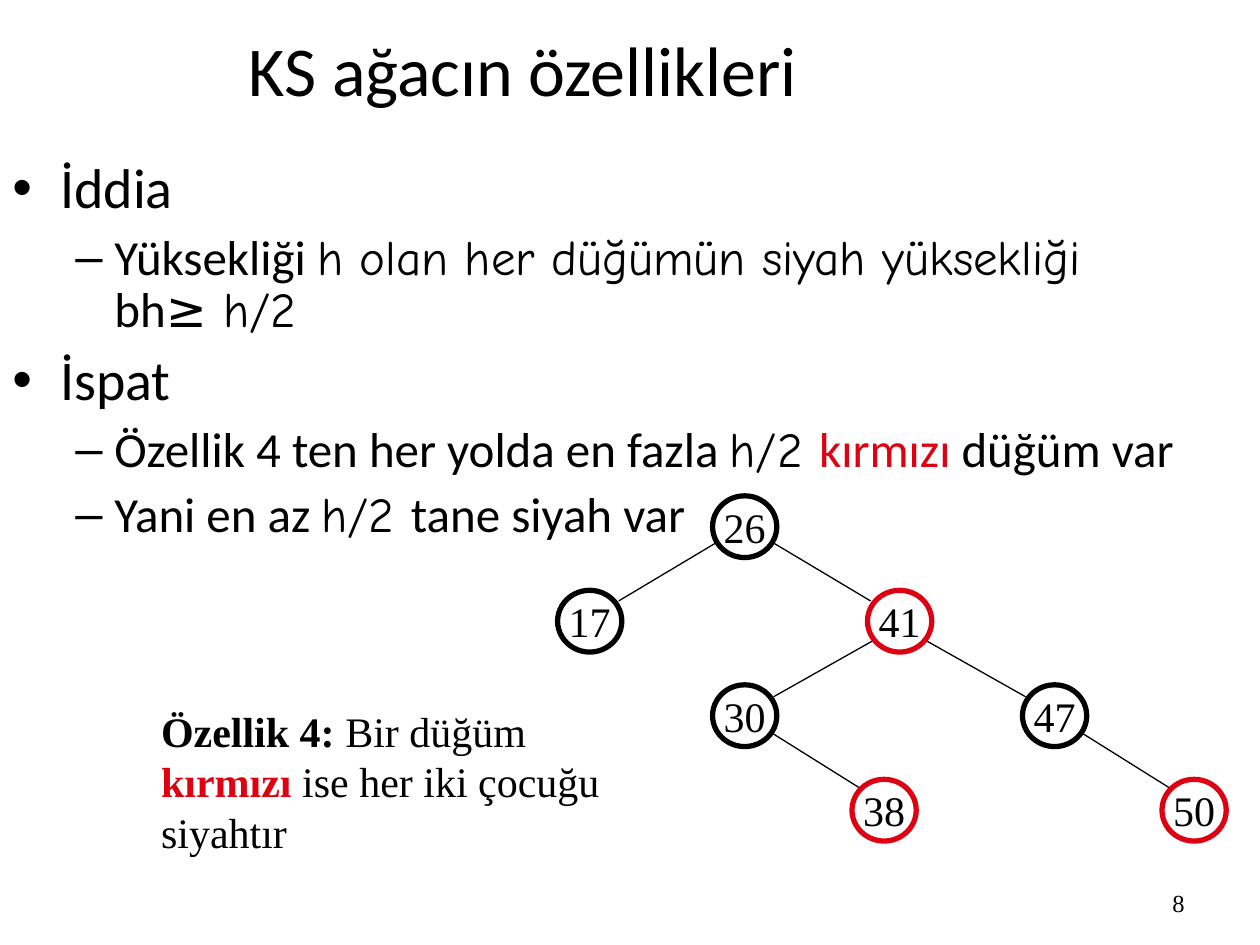
from dataclasses import dataclass

from lxml import etree
from pptx import Presentation
from pptx.dml.color import RGBColor
from pptx.enum.shapes import MSO_CONNECTOR, MSO_SHAPE
from pptx.enum.text import MSO_ANCHOR, PP_ALIGN
from pptx.oxml.ns import qn
from pptx.util import Inches, Pt

LINE = MSO_CONNECTOR.STRAIGHT
OVAL = MSO_SHAPE.OVAL
MIDDLE, TOP = MSO_ANCHOR.MIDDLE, MSO_ANCHOR.TOP
LEFT, CENTER, RIGHT = PP_ALIGN.LEFT, PP_ALIGN.CENTER, PP_ALIGN.RIGHT

SLIDE_W, SLIDE_H = 10, 7.5


@dataclass(frozen=True)
class Theme:
    black: str = "000000"
    red: str = "DD0111"
    sans: str = "Calibri"
    hand: str = "Comic Neue"
    serif: str = "Times New Roman"
    title: int = 40
    claim: int = 32
    detail: int = 28
    label: int = 24
    number: int = 14


T = Theme()

# Tree grid: column pitch, row pitch, centre of the root and node size, in inches
COL, ROW = 1.23, 0.75
ROOT_X, ROOT_Y = 5.91, 4.18
NODE_W, NODE_H = 0.51, 0.49

# Key: (column, row, colour), counted from the root
NODES = {
    "26": (0, 0, T.black),
    "17": (-1, 1, T.black),
    "41": (1, 1, T.red),
    "30": (0, 2, T.black),
    "47": (2, 2, T.black),
    "38": (0.9, 3, T.red),
    "50": (2.9, 3, T.red),
}
EDGES = [("26", "17"), ("26", "41"), ("41", "30"),
         ("41", "47"), ("30", "38"), ("47", "50")]
# Per parent row: offsets of the edge's ends from the centres of parent and child
EDGE_ENDS = [(0.23, 0.13, 0.23, 0.16), (0.22, 0.16, 0.23, 0.15),
             (0.22, 0.14, 0.2, 0.18)]

# Paragraphs of the body: (level, runs)
CLAIMS = [
    (0, [("İddia", {})]),
    (1, [("Yüksekliği ", {}),
         ("h olan her düğümün siyah yüksekliği ", {"font": T.hand}),
         (" bh", {}),
         ("≥ h/2", {"font": T.hand})]),
    (0, [("İspat", {})]),
    (1, [("Özellik 4 ten her yolda en fazla ", {}),
         ("h/2 ", {"font": T.hand}),
         ("kırmızı ", {"color": T.red}),
         ("düğüm var", {})]),
    (1, [("Yani en az ", {}),
         ("h/2 ", {"font": T.hand}),
         ("tane siyah var", {})]),
]
# Per level: bullet, text indent, hanging indent, size, space before
LEVELS = [("•", 0.38, -0.38, T.claim, 8), ("–", 0.81, -0.31, T.detail, 7)]

NOTE = [
    ("Özellik 4: ", {"bold": True}),
    ("Bir düğüm ", {}),
    ("kırmızı ", {"bold": True, "color": T.red}),
    ("ise her iki çocuğu siyahtır", {}),
]


def add_text(p, text, *, size, font=T.sans, color=T.black, bold=False):
    r = p.add_run()
    r.text = text
    r.font.size = Pt(size)
    r.font.name = font
    r.font.bold = bold
    r.font.color.rgb = RGBColor.from_string(color)


def add_box(s, left, top, width, height, *, anchor=TOP, align=LEFT):
    """Add a wrapping text box, placed in percent of the slide's size."""
    sp = s.shapes.add_textbox(
        Inches(left * SLIDE_W / 100), Inches(top * SLIDE_H / 100),
        Inches(width * SLIDE_W / 100), Inches(height * SLIDE_H / 100))
    tf = sp.text_frame
    tf.word_wrap = True
    tf.vertical_anchor = anchor
    tf.paragraphs[0].alignment = align
    return tf


def set_indent(p, left, hanging=0, bullet=None):
    pPr = p._p.get_or_add_pPr()
    pPr.set("marL", str(Inches(left)))
    pPr.set("indent", str(Inches(hanging)))
    if bullet:
        etree.SubElement(pPr, qn("a:buFont"), typeface="Arial")
        etree.SubElement(pPr, qn("a:buChar"), char=bullet)


def add_claims(s):
    tf = add_box(s, 0, 16.27, 95.1, 44.13)
    for i, (level, runs) in enumerate(CLAIMS):
        p = tf.add_paragraph() if i else tf.paragraphs[0]
        bullet, left, hanging, size, before = LEVELS[level]
        p.level = level
        p.line_spacing = 0.9
        p.space_before = Pt(before)
        set_indent(p, left, hanging, bullet)
        for text, style in runs:
            add_text(p, text, size=size, **style)


def add_note(s):
    p = add_box(s, 6.8, 74, 42.4, 17.33).paragraphs[0]
    p.level = 1
    p.space_before = Pt(6)
    set_indent(p, 0.5)
    for text, style in NOTE:
        add_text(p, text, size=T.label, font=T.serif, **style)


def node_center(key):
    col, row, _ = NODES[key]
    return ROOT_X + col * COL, ROOT_Y + row * ROW


def add_node(group, key):
    x, y = node_center(key)
    sp = group.shapes.add_shape(
        OVAL, Inches(x - NODE_W / 2), Inches(y - NODE_H / 2),
        Inches(NODE_W), Inches(NODE_H))
    sp.shadow.inherit = False
    sp.fill.background()
    sp.line.color.rgb = RGBColor.from_string(NODES[key][2])
    sp.line.width = Pt(3)
    tf = sp.text_frame
    tf.word_wrap = False
    tf.vertical_anchor = MIDDLE
    p = tf.paragraphs[0]
    p.alignment = CENTER
    add_text(p, key, size=T.label, font=T.serif)


def add_edge(group, parent, child):
    (x1, y1), (x2, y2) = node_center(parent), node_center(child)
    side = 1 if x2 > x1 else -1
    dx1, dy1, dx2, dy2 = EDGE_ENDS[NODES[parent][1]]
    line = group.shapes.add_connector(
        LINE, Inches(x1 + side * dx1), Inches(y1 + dy1),
        Inches(x2 - side * dx2), Inches(y2 - dy2))
    line.line.color.rgb = RGBColor.from_string(T.black)
    line.line.width = Pt(0.75)
    etree.SubElement(line._element.spPr, qn("a:effectLst"))


def add_tree(s):
    group = s.shapes.add_group_shape()
    for key in NODES:
        add_node(group, key)
    for parent, child in EDGES:
        add_edge(group, parent, child)


def main():
    prs = Presentation()
    prs.slide_width, prs.slide_height = Inches(SLIDE_W), Inches(SLIDE_H)
    s = prs.slides.add_slide(prs.slide_layouts[6])

    number = add_box(s, 71.7, 93.33, 23.3, 4.67, align=RIGHT)
    add_text(number.paragraphs[0], "8", size=T.number, font=T.serif)
    title = add_box(s, 0, 2.27, 83, 10, anchor=MIDDLE, align=CENTER)
    add_text(title.paragraphs[0], "KS ağacın özellikleri", size=T.title)
    add_claims(s)
    add_tree(s)
    add_note(s)

    prs.save("out.pptx")


if __name__ == "__main__":
    main()
